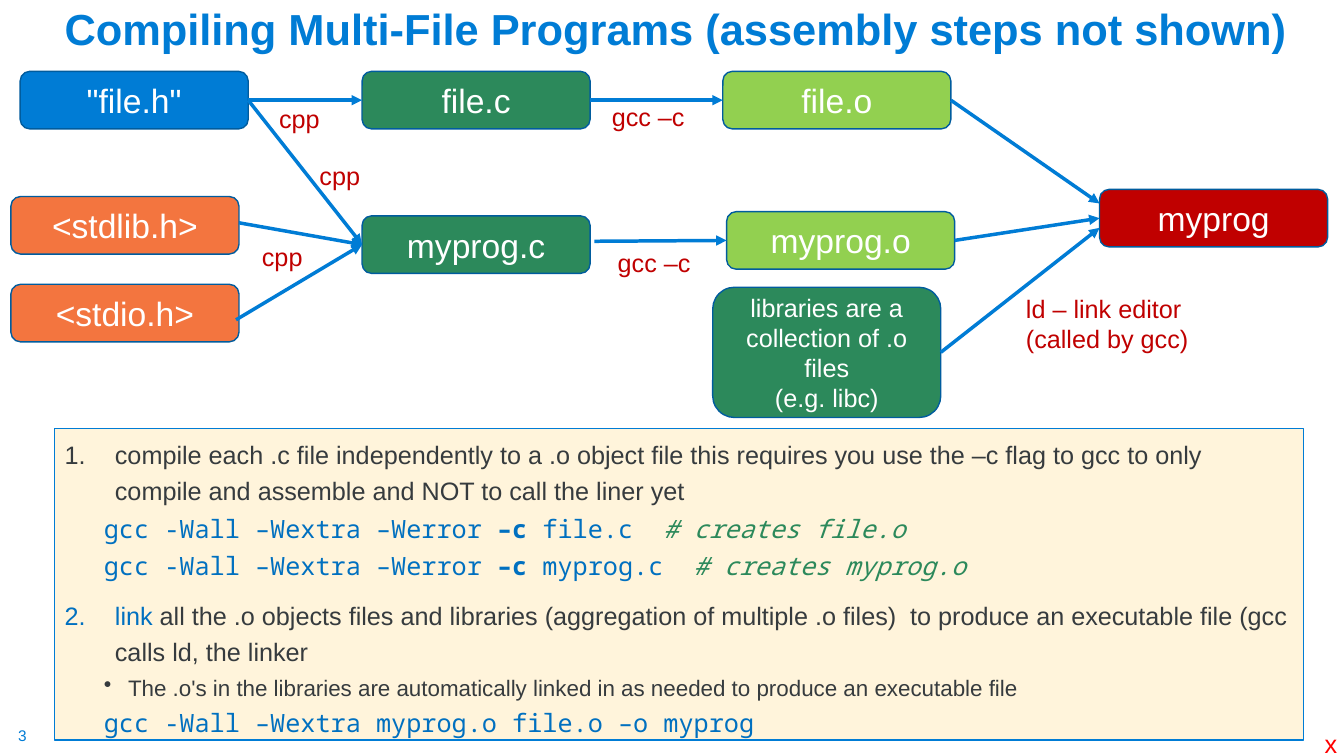
from lxml.etree import SubElement
from pptx import Presentation
from pptx.dml.color import RGBColor
from pptx.enum.shapes import MSO_CONNECTOR, MSO_SHAPE
from pptx.enum.text import MSO_ANCHOR, MSO_AUTO_SIZE, PP_ALIGN
from pptx.oxml.ns import qn
from pptx.util import Inches, Pt

COLORS = {
    "blue": "007CD5", "edge": "005C9E", "code": "0070C0", "green": "2C895B",
    "lime": "92D050", "orange": "F3753F", "crimson": "C00000", "red": "FF0000",
    "cream": "FFF4DB", "ink": "363B3E", "white": "FFFFFF",
}
SANS, MONO = "Arial", "Noto Sans Mono"
COLUMNS, ROWS = 32, 18
NODE_SIZE = (5.43, 1.37)
CPP_SIZE, GCC_SIZE = (1.46, 0.96), (2.4, 0.96)
LEFT_SITE, RIGHT_SITE = 1, 3


def rgb(name):
    return RGBColor.from_string(COLORS[name])


class DiagramSlide:
    """Draws on one slide; places and sizes are in grid columns and rows."""

    def __init__(self, prs):
        self.slide = prs.slides.add_slide(prs.slide_layouts[6])
        self.shapes = self.slide.shapes
        self.column = prs.slide_width / COLUMNS
        self.row = prs.slide_height / ROWS

    def across(self, columns):
        return round(columns * self.column)

    def down(self, rows):
        return round(rows * self.row)

    def area(self, place, size):
        return (self.across(place[0]), self.down(place[1]),
                self.across(size[0]), self.down(size[1]))

    def style(self, paragraph, size, color, font=SANS, bold=None):
        paragraph.font.name = font
        paragraph.font.size = Pt(size)
        paragraph.font.bold = bold
        paragraph.font.color.rgb = rgb(color)

    def panel(self, preset, place, size, fill, edge, edge_width):
        panel = self.shapes.add_shape(preset, *self.area(place, size))
        panel.shadow.inherit = False
        panel.fill.solid()
        panel.fill.fore_color.rgb = rgb(fill)
        panel.line.color.rgb = rgb(edge)
        panel.line.width = Pt(edge_width)
        panel.text_frame.word_wrap = True
        return panel

    def node(self, lines, place, fill, size=NODE_SIZE, font_size=24):
        node = self.panel(MSO_SHAPE.ROUNDED_RECTANGLE, place, size, fill, "edge", 1)
        node.text_frame.vertical_anchor = MSO_ANCHOR.MIDDLE
        node.text_frame.text = lines
        for paragraph in node.text_frame.paragraphs:
            paragraph.alignment = PP_ALIGN.CENTER
            self.style(paragraph, font_size, "white")
        return node

    def label(self, lines, place, size, color="crimson", font_size=18, inset=None):
        frame = self.shapes.add_textbox(*self.area(place, size)).text_frame
        frame.word_wrap = False
        frame.auto_size = MSO_AUTO_SIZE.SHAPE_TO_FIT_TEXT
        if inset is not None:
            frame.margin_left = frame.margin_right = inset
            frame.margin_top = frame.margin_bottom = inset
        frame.text = lines
        for paragraph in frame.paragraphs:
            self.style(paragraph, font_size, color)

    def title(self, text, place, size):
        frame = self.shapes.add_textbox(*self.area(place, size)).text_frame
        frame.word_wrap = True
        frame.vertical_anchor = MSO_ANCHOR.BOTTOM
        frame.text = text
        heading = frame.paragraphs[0]
        heading.line_spacing = 0.9
        self.style(heading, 31, "blue", bold=True)

    def arrow(self, source, target, start_shift=(0, 0), end_drop=0):
        """Join source's right side to target's left; unshifted ends are glued."""
        arrow = self.shapes.add_connector(
            MSO_CONNECTOR.STRAIGHT,
            source.left + source.width + self.across(start_shift[0]),
            source.top + source.height // 2 + self.down(start_shift[1]),
            target.left,
            target.top + target.height // 2 + self.down(end_drop))
        if start_shift == (0, 0):
            arrow.begin_connect(source, RIGHT_SITE)
        if not end_drop:
            arrow.end_connect(target, LEFT_SITE)
        arrow.line.color.rgb = rgb("blue")
        arrow.line.width = Pt(2.5)
        SubElement(arrow.line._get_or_add_ln(), qn("a:tailEnd"), type="triangle")
        SubElement(arrow._element.spPr, qn("a:effectLst"))

    def steps(self, place, size, items):
        panel = self.panel(MSO_SHAPE.RECTANGLE, place, size, "cream", "blue", 0.75)
        frame = panel.text_frame
        frame.vertical_anchor = MSO_ANCHOR.TOP
        for index, (kind, runs) in enumerate(items):
            paragraph = frame.paragraphs[0] if index == 0 else frame.add_paragraph()
            self.step(paragraph, kind, runs)

    def step(self, paragraph, kind, runs):
        """Fill one paragraph; kind is a step number, "code" or "bullet"."""
        paragraph.alignment = PP_ALIGN.LEFT
        numbered = isinstance(kind, int)
        paragraph.level = 0 if numbered else 1
        paragraph.space_before = Pt(10 if numbered else 5)
        paragraph.line_spacing = 1.2 if numbered else 1.0
        margin, indent = {"code": (0.39, 0), "bullet": (0.63, -0.24)}.get(kind, (0.5, -0.5))
        layout = paragraph._p.get_or_add_pPr()
        layout.set("marL", str(Inches(margin)))
        layout.set("indent", str(Inches(indent)))
        if numbered:
            SubElement(layout, qn("a:buAutoNum"), type="arabicPeriod", startAt=str(kind))
        elif kind == "bullet":
            SubElement(layout, qn("a:buChar"), char="•")
        else:
            SubElement(layout, qn("a:buNone"))
        if kind == "code":
            self.style(paragraph, 18, "code", MONO)
        else:
            self.style(paragraph, 18 if numbered else 16, "ink")
        for text, role in runs:
            run = paragraph.add_run()
            run.text = text
            if role == "flag":
                run.font.bold = True
            elif role == "comment":
                run.font.italic = True
                run.font.color.rgb = rgb("green")
            elif role == "key":
                run.font.color.rgb = rgb("code")


def compile_command(name):
    return ("code", [("gcc -Wall –Wextra –Werror ", None), ("–c ", "flag"),
                     (f"{name}.c  ", None), (f"# creates {name}.o", "comment")])


def main():
    prs = Presentation()
    prs.slide_width, prs.slide_height = Inches(13.33), Inches(7.5)
    page = DiagramSlide(prs)

    page.label("3", (0.43, 17.3), (0.46, 0.46), "blue", 11, inset=0)
    page.steps((1.3, 10.2), (29.74, 7.42), [
        (1, [("compile each .c file independently to a .o object file this requires "
              "you use the –c flag to gcc to only compile and assemble and NOT to "
              "call the liner yet", None)]),
        compile_command("file"),
        compile_command("myprog"),
        (2, [("link", "key"),
             (" all the .o objects files and libraries (aggregation of multiple .o "
              "files)  to produce an executable file (gcc calls ld, the linker", None)]),
        ("bullet", [("The .o's in the libraries are automatically linked in as needed "
                     "to produce an executable file", None)]),
        ("code", [("gcc -Wall –Wextra myprog.o file.o –o myprog", None)]),
    ])
    page.title("Compiling Multi-File Programs (assembly steps not shown)",
               (1.3, 0.22), (29.74, 1.2))

    libraries = page.node("libraries are a\ncollection of .o files\n(e.g. libc)",
                          (16.97, 6.84), "green", (5.43, 3.1), 18)
    file_h = page.node('"file.h"', (0.48, 1.7), "blue")
    file_c = page.node("file.c", (8.62, 1.7), "green")
    file_o = page.node("file.o", (17.21, 1.7), "lime")
    stdlib_h = page.node("<stdlib.h>", (0.26, 4.68), "orange")
    stdio_h = page.node("<stdio.h>", (0.26, 6.77), "orange")
    myprog_c = page.node("myprog.c", (8.62, 5.14), "green")
    myprog_o = page.node("myprog.o", (17.3, 5.04), "lime")
    myprog = page.node("myprog", (26.18, 4.51), "crimson")

    page.arrow(file_h, file_c)
    page.arrow(file_h, myprog_c)
    page.arrow(stdlib_h, myprog_c, start_shift=(0, -0.06))
    page.arrow(stdio_h, myprog_c, start_shift=(-0.07, 0.16))
    page.arrow(file_c, file_o)
    page.arrow(myprog_c, myprog_o, start_shift=(0.1, -0.08))
    page.arrow(file_o, myprog, end_drop=-0.35)
    page.arrow(myprog_o, myprog)
    page.arrow(libraries, myprog, end_drop=0.23)

    for place in ((6.41, 2.35), (7.37, 3.7), (6, 5.62)):
        page.label("cpp", place, CPP_SIZE)
    for place in ((14.33, 2.3), (14.47, 5.78)):
        page.label("gcc –c", place, GCC_SIZE)
    page.label("ld – link editor\n(called by gcc)", (24.19, 6.86), (4.39, 1.7))
    page.label("x", (31.3, 17.23), (0.79, 0.96), "red")

    prs.save("out.pptx")


if __name__ == "__main__":
    main()
